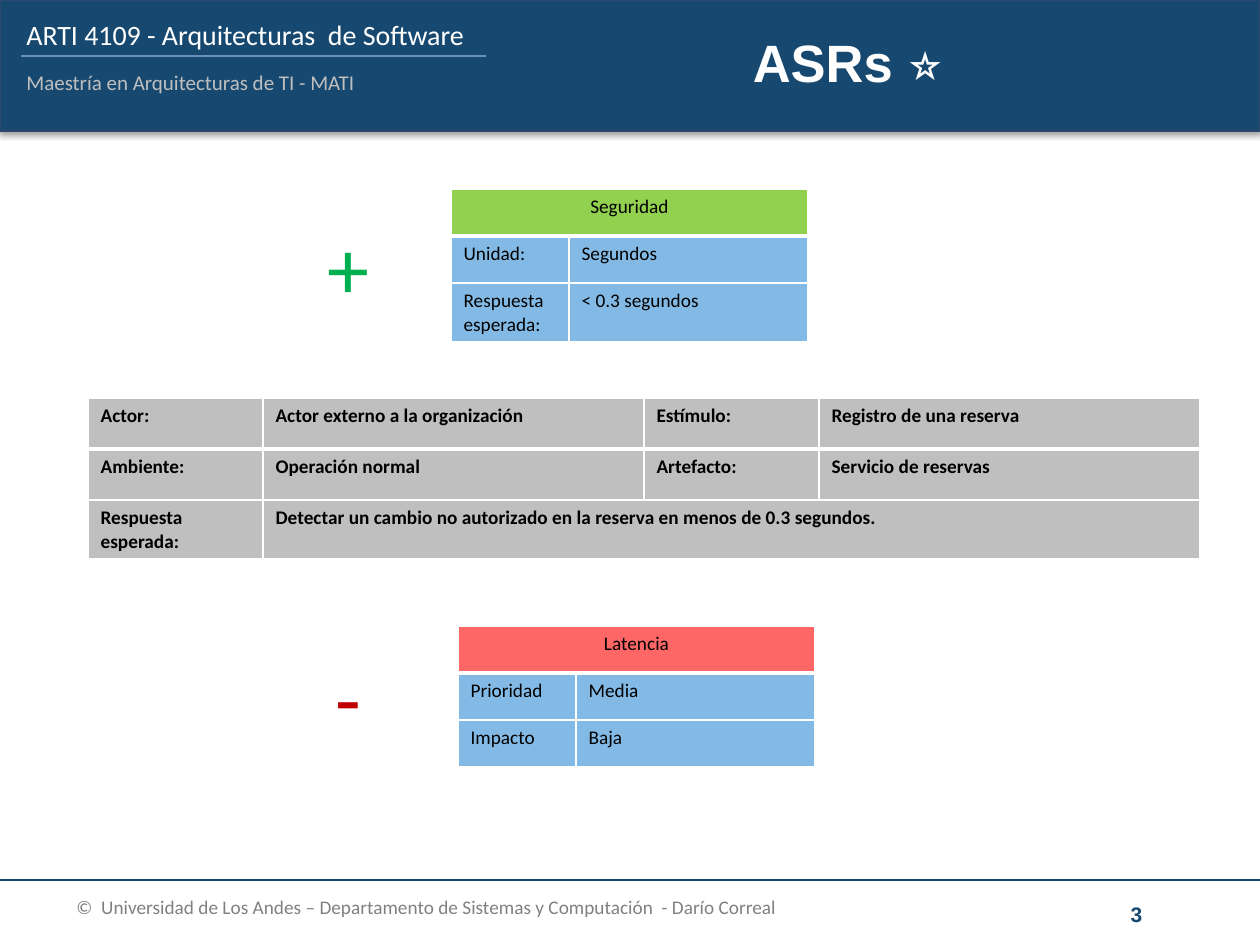
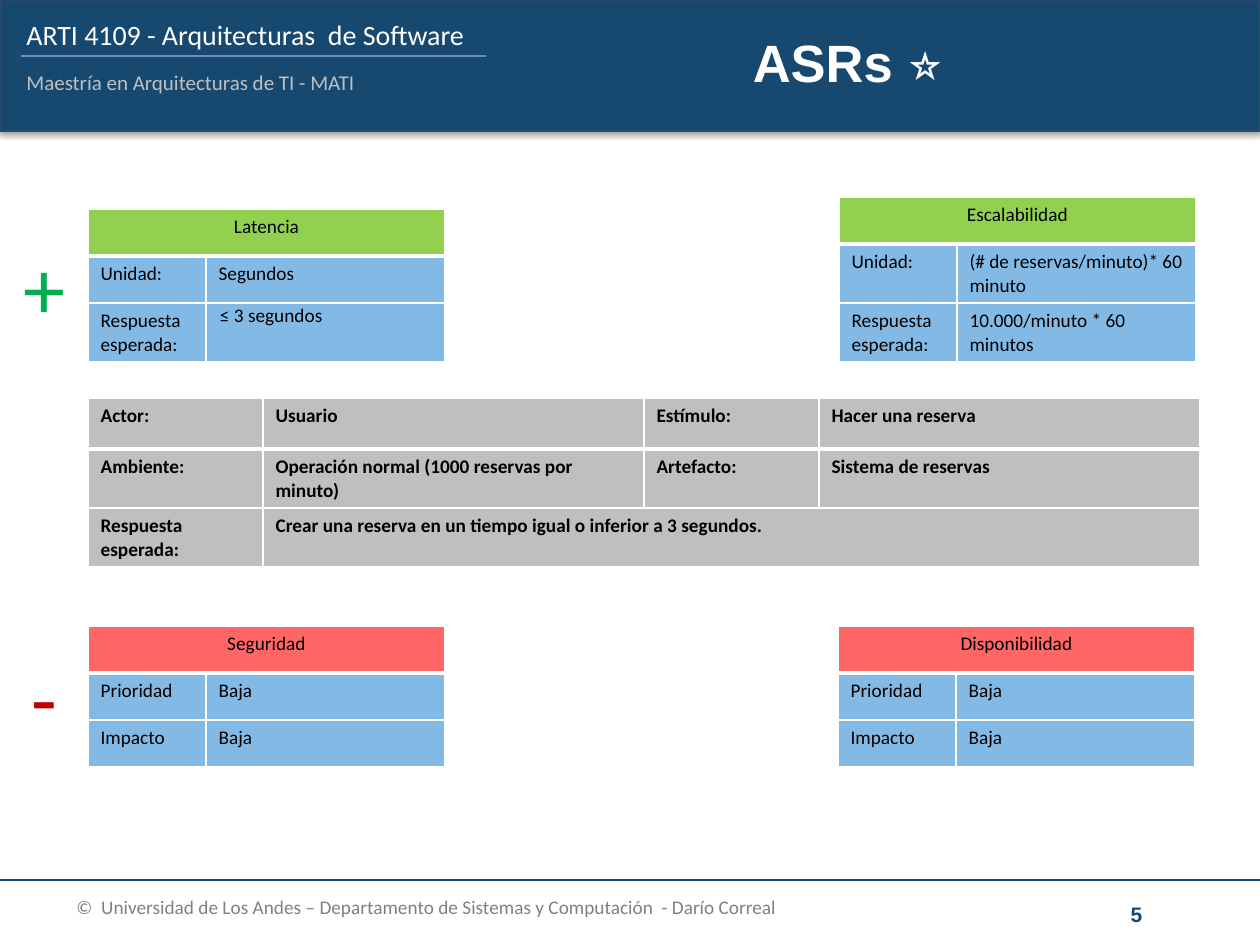
from lxml import etree
from pptx import Presentation
from pptx.dml.color import RGBColor
from pptx.enum.shapes import MSO_CONNECTOR, MSO_SHAPE
from pptx.enum.text import MSO_ANCHOR, MSO_AUTO_SIZE, PP_ALIGN
from pptx.oxml.ns import qn
from pptx.util import Pt

EMU_PER_PX = 914400 / 126
LEFT, CENTER = PP_ALIGN.LEFT, PP_ALIGN.CENTER
TOP, MIDDLE = MSO_ANCHOR.TOP, MSO_ANCHOR.MIDDLE
FIT, STRAIGHT, RECTANGLE = MSO_AUTO_SIZE.SHAPE_TO_FIT_TEXT, MSO_CONNECTOR.STRAIGHT, MSO_SHAPE.RECTANGLE
BODY_FONT, TITLE_FONT = "Calibri", "Arial"
COLORS = {
    "navy": "174970", "band_edge": "2C486D", "rule": "6B8FC0",
    "white": "FFFFFF", "black": "000000", "silver": "BFBFBF", "footer": "808080",
    "favored": "92D050", "harmed": "FF6666", "detail": "83BAE5",
    "plus": "00B050", "minus": "C00000",
}
SCENARIO_COLUMNS, SCENARIO_ROW = (175, 381, 175, 381), 51
ATTRIBUTE_COLUMNS, ATTRIBUTE_ROW = (118, 239), 47
SCENARIO_LEFT, SCENARIO_TOP, HARMED_TOP = 88, 398, 626


def px(length):
    """Turn px into EMU."""
    return round(length * EMU_PER_PX)


def rgb(name):
    """Return the named colour."""
    return RGBColor.from_string(COLORS[name])


def write(frame, text, size, color, font=BODY_FONT, bold=False, align=LEFT):
    """Write one styled run into the first paragraph of a frame."""
    paragraph = frame.paragraphs[0]
    paragraph.alignment = align
    run = paragraph.add_run()
    run.text = text
    run.font.size, run.font.name, run.font.bold = Pt(size), font, bold
    run.font.color.rgb = rgb(color)


def add_text(slide, box, text, size, color, anchor=TOP, wrap=True, fit=False, **style):
    """Add a text box with one line of text."""
    frame = slide.shapes.add_textbox(*map(px, box)).text_frame
    frame.word_wrap = wrap
    frame.vertical_anchor = anchor
    if fit:
        frame.auto_size = FIT
    write(frame, text, size, color, **style)


def add_rule(slide, left, right, y, color, width):
    """Add a horizontal line without shadow."""
    rule = slide.shapes.add_connector(STRAIGHT, px(left), px(y), px(right), px(y))
    rule.line.color.rgb = rgb(color)
    rule.line.width = Pt(width)
    etree.SubElement(rule._element.spPr, qn("a:effectLst"))


def add_band(slide):
    """Add the header band with its soft shadow."""
    band = slide.shapes.add_shape(RECTANGLE, 0, 0, px(1260), px(131))
    band.fill.solid()
    band.fill.fore_color.rgb = rgb("navy")
    band.line.color.rgb = rgb("band_edge")
    band.line.width = Pt(0.75)
    band.shadow.inherit = False
    effects = band._element.spPr.find(qn("a:effectLst"))
    shadow = etree.SubElement(effects, qn("a:outerShdw"), blurRad=str(Pt(3.1)),
                              dist=str(Pt(1.8)), dir="5400000", rotWithShape="0")
    tone = etree.SubElement(shadow, qn("a:srgbClr"), val=COLORS["black"])
    etree.SubElement(tone, qn("a:alpha"), val="35000")


def add_borders(cell, top, bottom):
    """Give a cell white borders, with the top and bottom widths in points."""
    properties = cell._tc.get_or_add_tcPr()
    sides = (("a:lnL", 1), ("a:lnR", 1), ("a:lnT", top), ("a:lnB", bottom))
    for position, (side, width) in enumerate(sides):
        border = etree.Element(qn(side), w=str(Pt(width)))
        fill = etree.SubElement(border, qn("a:solidFill"))
        etree.SubElement(fill, qn("a:srgbClr"), val=COLORS["white"])
        properties.insert(position, border)


def add_grid(slide, left, top, columns, row_height, rows, fills, bold=False):
    """Add a table; a row with fewer texts than columns spans its last one."""
    frame = slide.shapes.add_table(len(rows), len(columns), px(left), px(top),
                                   px(sum(columns)), px(row_height * len(rows)))
    table = frame.table
    table.first_row = table.horz_banding = False
    for column, width in zip(table.columns, columns):
        column.width = px(width)
    for r, (texts, fill) in enumerate(zip(rows, fills)):
        table.rows[r].height = px(row_height)
        for c in range(len(columns)):
            cell = table.cell(r, c)
            cell.fill.solid()
            cell.fill.fore_color.rgb = rgb(fill)
            add_borders(cell, 3 if r == 1 else 1, 3 if r == 0 else 1)
        for c, text in enumerate(texts):
            align = CENTER if len(texts) == 1 else LEFT
            write(table.cell(r, c).text_frame, text, 11, "black", bold=bold, align=align)
        if len(texts) < len(columns):
            table.cell(r, len(texts) - 1).merge(table.cell(r, len(columns) - 1))
    return table


def add_scenario(slide, actor, stimulus, environment, artifact, response):
    """Add the table that describes the scenario."""
    rows = (("Actor:", actor, "Estímulo:", stimulus),
            ("Ambiente:", environment, "Artefacto:", artifact),
            ("Respuesta esperada:", response))
    add_grid(slide, SCENARIO_LEFT, SCENARIO_TOP, SCENARIO_COLUMNS, SCENARIO_ROW,
             rows, ["silver"] * 3, bold=True)


def add_favored(slide, left, top, attribute, unit, response):
    """Add the table of a quality attribute that gains."""
    rows = ((attribute,), ("Unidad:", unit), ("Respuesta esperada:", response))
    return add_grid(slide, left, top, ATTRIBUTE_COLUMNS, ATTRIBUTE_ROW, rows,
                    ("favored", "detail", "detail"))


def add_harmed(slide, left, attribute, priority, impact):
    """Add the table of a quality attribute that loses."""
    rows = ((attribute,), ("Prioridad", priority), ("Impacto", impact))
    add_grid(slide, left, HARMED_TOP, ATTRIBUTE_COLUMNS, ATTRIBUTE_ROW, rows,
             ("harmed", "detail", "detail"))


def add_signs(slide, left, favored_top):
    """Add the plus and minus signs beside the attribute tables."""
    add_text(slide, (left, favored_top + 20, 68, 115), "+", 48, "plus", wrap=False, fit=True)
    add_text(slide, (left + 8, HARMED_TOP + 13, 52, 115), "-", 48, "minus", wrap=False, fit=True)


def add_page(deck, number):
    """Add a slide with the shared header and footer."""
    slide = deck.slides.add_slide(deck.slide_layouts[6])
    add_rule(slide, 0, 1260, 880, "navy", 0.75)
    add_band(slide)
    add_text(slide, (14, 11, 583, 47), "ARTI 4109 - Arquitecturas  de Software", 16, "white", fit=True)
    add_text(slide, (14, 63, 359, 38), "Maestría en Arquitecturas de TI - MATI", 12, "silver",
             wrap=False, fit=True)
    add_rule(slide, 21, 486, 56, "rule", 1)
    add_text(slide, (620, 27, 456, 69), "ASRs ⭐", 30, "white", anchor=MIDDLE,
             font=TITLE_FONT, bold=True, align=CENTER)
    add_text(slide, (1047, 889, 179, 50), number, 12, "navy", anchor=MIDDLE,
             font=TITLE_FONT, bold=True, align=CENTER)
    add_text(slide, (64, 889, 953, 50),
             "©  Universidad de Los Andes – Departamento de Sistemas y Computación  - Darío Correal",
             11, "footer")
    return slide


def add_security_page(deck):
    """Add the scenario that favors security."""
    slide = add_page(deck, "3")
    add_scenario(slide, "Actor externo a la organización", "Registro de una reserva",
                 "Operación normal", "Servicio de reservas",
                 "Detectar un cambio no autorizado en la reserva en menos de 0.3 segundos.")
    add_favored(slide, 451, 189, "Seguridad", "Segundos", "< 0.3 segundos")
    add_signs(slide, 315, 189)
    add_harmed(slide, 458, "Latencia", "Media", "Baja")


def add_latency_page(deck):
    """Add the scenario that favors latency and scalability."""
    slide = add_page(deck, "5")
    add_scenario(slide, "Usuario", "Hacer una reserva",
                 "Operación normal (1000 reservas por minuto)", "Sistema de reservas",
                 "Crear una reserva en un tiempo igual o inferior a 3 segundos.")
    latency = add_favored(slide, SCENARIO_LEFT, 209, "Latencia", "Segundos", "≤ 3 segundos")
    response = latency.cell(2, 1)
    response.margin_left, response.margin_top = px(14), px(1)
    response.margin_right, response.margin_bottom = px(1), 0
    add_signs(slide, 11, 209)
    add_harmed(slide, SCENARIO_LEFT, "Seguridad", "Baja", "Baja")
    add_favored(slide, 839, 197, "Escalabilidad", "(# de reservas/minuto)* 60 minuto",
                "10.000/minuto * 60 minutos")
    add_harmed(slide, 838, "Disponibilidad", "Baja", "Baja")


def main():
    """Build and save the presentation."""
    deck = Presentation()
    deck.slide_width, deck.slide_height = px(1260), px(945)
    add_security_page(deck)
    add_latency_page(deck)
    deck.save("out.pptx")


if __name__ == "__main__":
    main()
